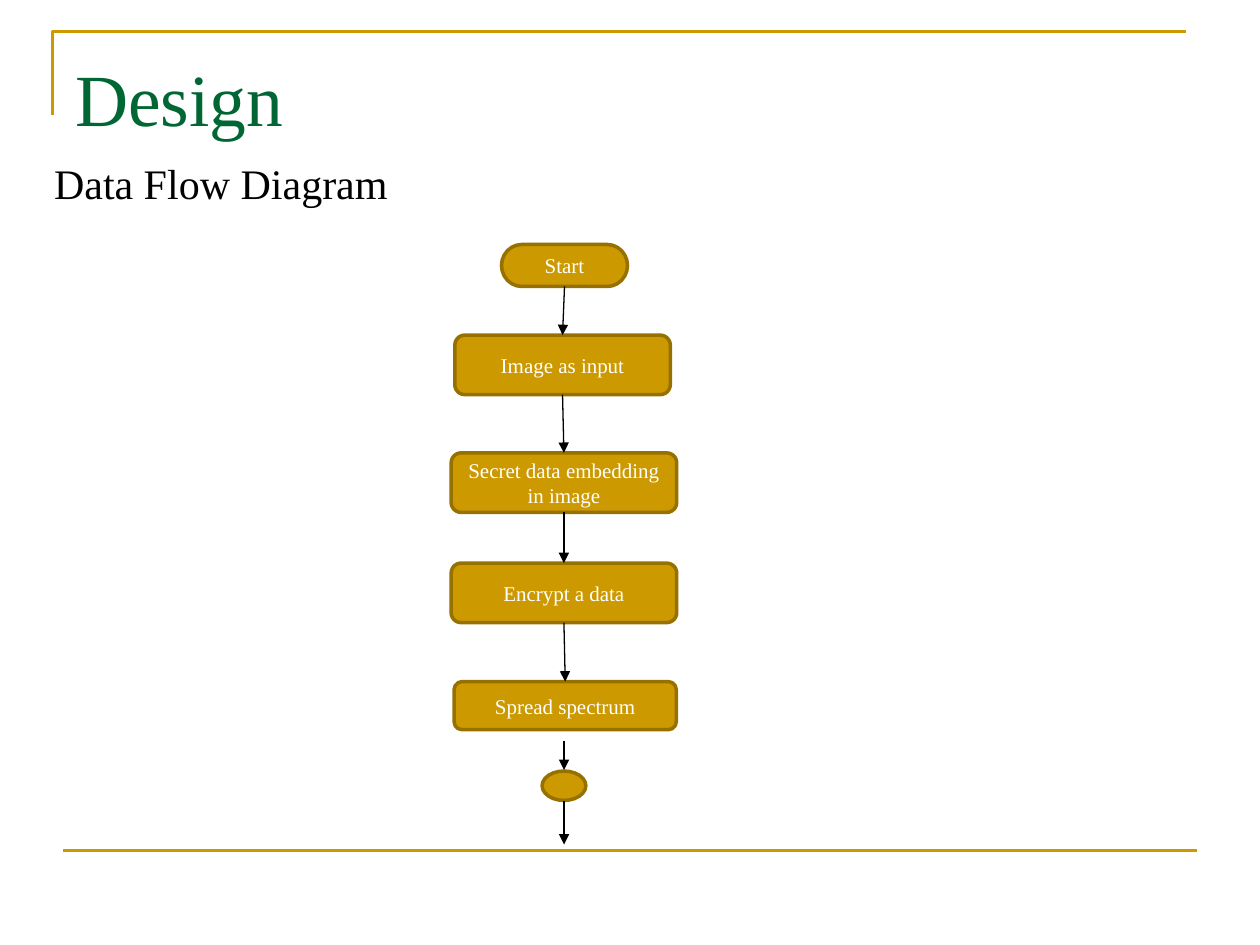
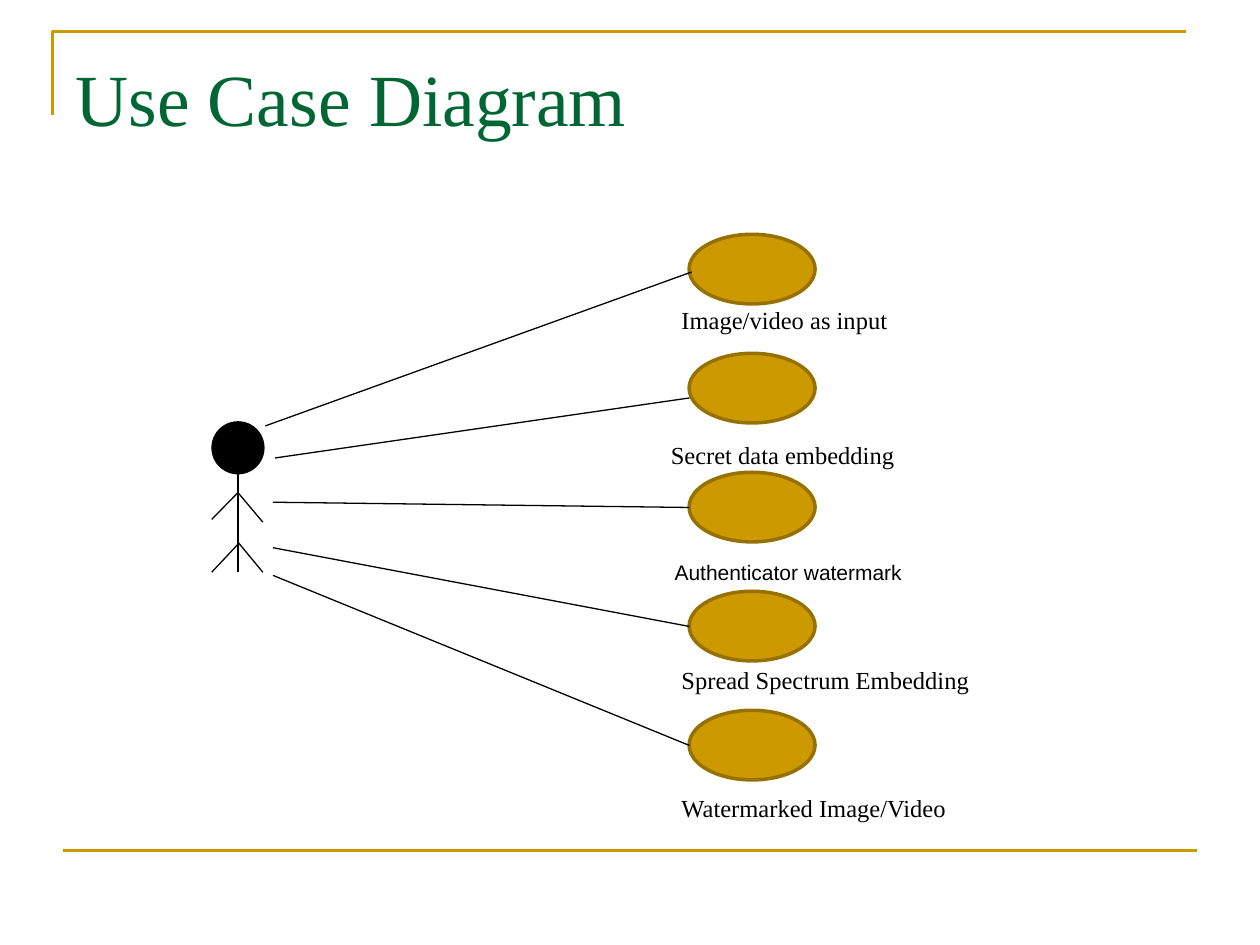
from lxml import etree
from pptx import Presentation
from pptx.dml.color import RGBColor
from pptx.enum.shapes import MSO_CONNECTOR, MSO_SHAPE
from pptx.enum.text import MSO_ANCHOR, PP_ALIGN
from pptx.oxml.ns import qn
from pptx.util import Pt

GOLD = RGBColor(0xCC, 0x99, 0x00)
DARK_GOLD = RGBColor(0x97, 0x71, 0x00)
GREEN = RGBColor(0x00, 0x66, 0x33)
BLACK = RGBColor(0x00, 0x00, 0x00)
WHITE = RGBColor(0xFF, 0xFF, 0xFF)

SERIF, SANS = "Times New Roman", "Arial"
STRAIGHT = MSO_CONNECTOR.STRAIGHT
ROUNDED = MSO_SHAPE.ROUNDED_RECTANGLE
TERMINATOR = MSO_SHAPE.FLOWCHART_TERMINATOR
CIRCLE = MSO_SHAPE.FLOWCHART_CONNECTOR
OVAL = MSO_SHAPE.OVAL
TOP, MIDDLE = MSO_ANCHOR.TOP, MSO_ANCHOR.MIDDLE
LEFT, CENTER, JUSTIFY = PP_ALIGN.LEFT, PP_ALIGN.CENTER, PP_ALIGN.JUSTIFY


def write(tf, text, size=14, font=SERIF, color=BLACK, align=LEFT, anchor=TOP,
          inset_top=3.6):
    tf.word_wrap = True
    tf.vertical_anchor = anchor
    tf.margin_top = Pt(inset_top)
    p = tf.paragraphs[0]
    p.alignment = align
    r = p.add_run()
    r.text = text
    r.font.size = Pt(size)
    r.font.name = font
    r.font.color.rgb = color


class Deck:
    """Holds the shared style and the slide being drawn; lengths are points."""

    def __init__(self):
        self.prs = Presentation()
        self.prs.slide_width, self.prs.slide_height = Pt(720), Pt(540)
        self.s = None

    def slide(self, title):
        self.s = self.prs.slides.add_slide(self.prs.slide_layouts[6])
        self.corner()
        self.line((36, 486), (684, 486), GOLD, 1.5)
        self.text(36, 21.6, 648, 90, title, size=42, color=GREEN, inset_top=8.4)

    def corner(self):
        fb = self.s.shapes.build_freeform(Pt(30), Pt(66))
        fb.add_line_segments([(Pt(30), Pt(18)), (Pt(678), Pt(18))], close=False)
        sp = fb.convert_to_shape()
        sp.shadow.inherit = False
        sp.fill.background()
        sp.line.color.rgb = GOLD
        sp.line.width = Pt(1.5)

    def text(self, x, y, w, h, text, **style):
        sp = self.s.shapes.add_textbox(Pt(x), Pt(y), Pt(w), Pt(h))
        write(sp.text_frame, text, **style)

    def shape(self, kind, x, y, w, h, text="", fill=GOLD, outline=DARK_GOLD):
        sp = self.s.shapes.add_shape(kind, Pt(x), Pt(y), Pt(w), Pt(h))
        sp.shadow.inherit = False
        sp.fill.solid()
        sp.fill.fore_color.rgb = fill
        sp.line.color.rgb = outline
        sp.line.width = Pt(2)
        if text:
            write(sp.text_frame, text, size=12, color=WHITE, align=CENTER,
                  anchor=MIDDLE)

    def line(self, start, end, color=BLACK, width=0.75, arrow=False):
        points = [Pt(v) for v in (*start, *end)]
        cx = self.s.shapes.add_connector(STRAIGHT, *points)
        cx.line.color.rgb = color
        cx.line.width = Pt(width)
        if arrow:
            etree.SubElement(cx.line._get_or_add_ln(), qn("a:tailEnd"),
                             type="triangle")
        etree.SubElement(cx._element.spPr, qn("a:effectLst"))


def data_flow(deck):
    deck.slide("Design")
    deck.text(23.8, 84.2, 666, 399, "Data Flow Diagram", size=24,
              align=JUSTIFY, inset_top=6)
    steps = [
        (TERMINATOR, 286.6, 139.7, 72, 24, "Start"),
        (ROUNDED, 259.9, 191.5, 123.1, 34, "Image as input"),
        (ROUNDED, 257.8, 258.8, 128.9, 34, "Secret data embedding in image"),
        (ROUNDED, 257.8, 321.8, 128.9, 34, "Encrypt a data"),
        (ROUNDED, 259.5, 389.5, 127, 27.5, "Spread spectrum"),
    ]
    for step in steps:
        deck.shape(*step)
    for (_, x, y, w, h, _), (_, next_x, next_y, next_w, _, _) in zip(steps, steps[1:]):
        deck.line((x + w / 2, y + h), (next_x + next_w / 2, next_y), arrow=True)
    deck.shape(CIRCLE, 309.8, 440.6, 25, 16.8)
    for top, bottom in ((423.4, 440), (457.6, 482.6)):
        deck.line((322.3, top), (322.3, bottom), arrow=True)


def actor(deck):
    deck.shape(CIRCLE, 121.8, 241.7, 28.4, 28.4, fill=BLACK, outline=BLACK)
    spine = 136
    deck.line((spine, 270), (spine, 327))
    for joint, x, y in ((281.5, 121, 296.8), (281.5, 150.2, 298.4),
                        (311, 121, 327), (309.8, 150.2, 327)):
        deck.line((spine, joint), (x, y))


def use_cases(deck):
    deck.slide("Use Case Diagram")
    for i in range(5):
        deck.shape(OVAL, 393.8, 133.9 + 68 * i, 72, 39.8)
    actor(deck)
    labels = [
        (382.3, 170.8, 148, "Image/video as input", {}),
        (376.2, 248, 154, "Secret data embedding", {}),
        (378.4, 316, 194, "Authenticator watermark", {"size": 12, "font": SANS}),
        (382.3, 376.2, 181, "Spread Spectrum Embedding", {}),
        (382.3, 449.4, 193, "Watermarked Image/Video", {}),
    ]
    for x, y, w, label, style in labels:
        deck.text(x, y, w, 24, label, **style)
    links = [
        ((151.6, 243.4), (395.3, 155.4)),
        ((157.2, 261.7), (394, 227.4)),
        ((156, 287), (394, 290)),
        ((156, 313), (394, 358)),
        ((156, 328.8), (394, 426)),
    ]
    for start, end in links:
        deck.line(start, end)


def main():
    deck = Deck()
    data_flow(deck)
    use_cases(deck)
    deck.prs.save("out.pptx")


if __name__ == "__main__":
    main()
